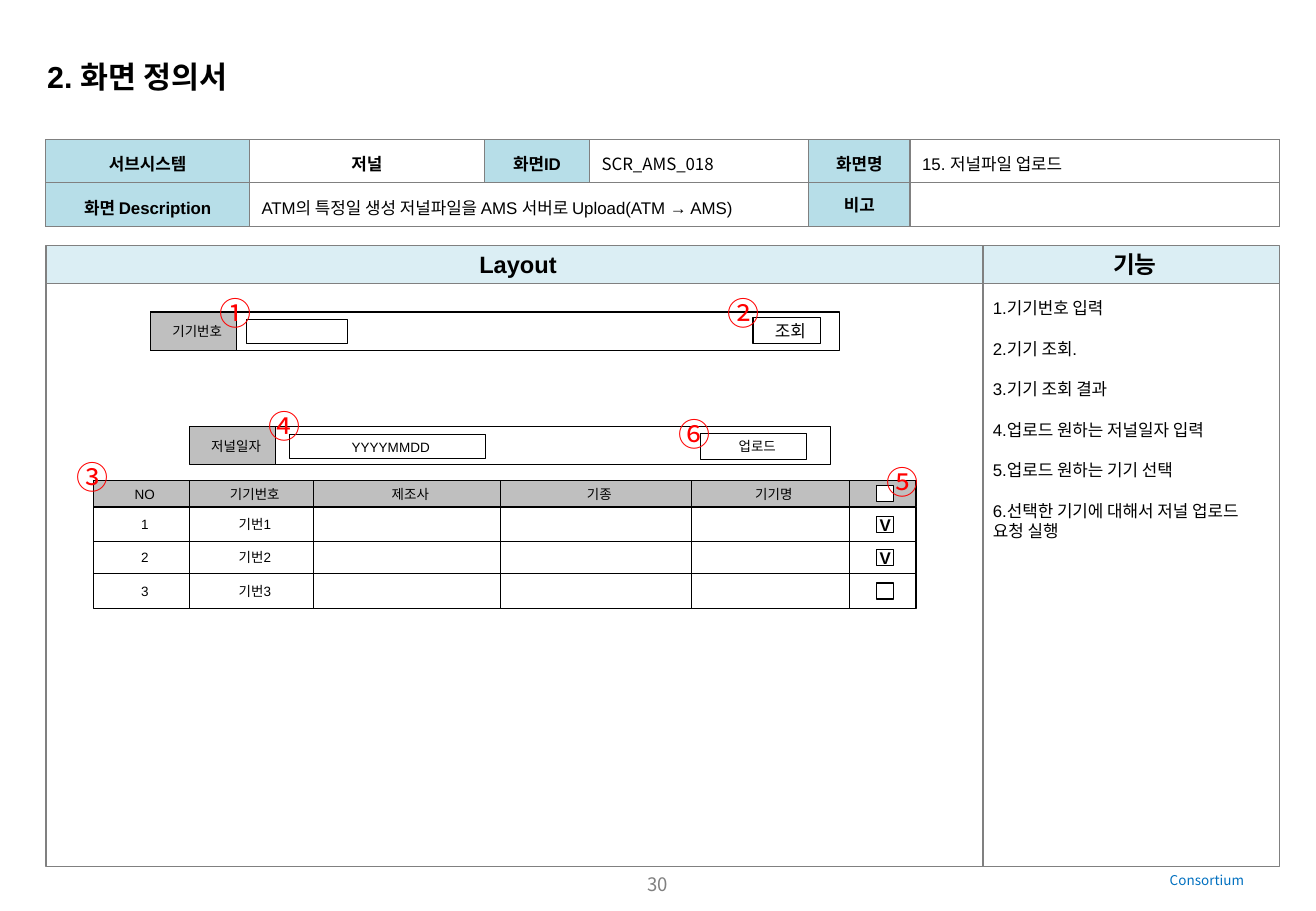
from lxml import etree
from pptx import Presentation
from pptx.dml.color import RGBColor
from pptx.enum.shapes import MSO_SHAPE
from pptx.enum.text import MSO_ANCHOR, PP_ALIGN
from pptx.oxml.ns import qn
from pptx.util import Pt

RECT = MSO_SHAPE.RECTANGLE
MIDDLE, TOP = MSO_ANCHOR.MIDDLE, MSO_ANCHOR.TOP
LEFT, CENTER = PP_ALIGN.LEFT, PP_ALIGN.CENTER
BLACK = RGBColor(0x00, 0x00, 0x00)
WHITE = RGBColor(0xFF, 0xFF, 0xFF)
GRAY = RGBColor(0x80, 0x80, 0x80)
SILVER = RGBColor(0xBF, 0xBF, 0xBF)
TEAL = RGBColor(0xB7, 0xDE, 0xE8)
PALE = RGBColor(0xDB, 0xEE, 0xF4)
RED = RGBColor(0xFF, 0x00, 0x00)
BLUE = RGBColor(0x00, 0x70, 0xC0)
ARIAL, NOTO = "Arial", "Noto Sans CJK KR"

prs = Presentation()
prs.slide_width, prs.slide_height = Pt(780), Pt(540)
s = prs.slides.add_slide(prs.slide_layouts[6])


def add_text(p, text, size, color=BLACK, bold=False, font=ARIAL, align=CENTER):
    p.alignment = align
    r = p.add_run()
    r.text = text
    r.font.size, r.font.bold, r.font.name = Pt(size), bold, font
    r.font.color.rgb = color


def add_box(x, y, w, h, fill=WHITE, text="", size=8, bold=False, line=BLACK, side=(7.2, 2.9)):
    """Add an outlined rectangle; side holds the left and right text insets."""
    sp = s.shapes.add_shape(RECT, Pt(x), Pt(y), Pt(w), Pt(h))
    sp.shadow.inherit = False
    sp.fill.solid()
    sp.fill.fore_color.rgb = fill
    sp.line.color.rgb = line
    sp.line.width = Pt(0.75)
    tf = sp.text_frame
    tf.word_wrap = True
    tf.vertical_anchor = MIDDLE
    tf.margin_left, tf.margin_right = Pt(side[0]), Pt(side[1])
    tf.margin_top = tf.margin_bottom = Pt(1.4)
    if text:
        add_text(tf.paragraphs[0], text, size, bold=bold)
    return sp


# Screen information table
info_rows = [
    ["서브시스템", "저널", "화면ID", "SCR_AMS_018", "화면명", "15. 저널파일 업로드"],
    ["화면 Description", "ATM의 특정일 생성 저널파일을 AMS 서버로 Upload(ATM → AMS)", "", "", "비고", ""],
]
left_aligned = {(0, 3), (0, 5), (1, 1)}
table = s.shapes.add_table(2, 6, Pt(27.2), Pt(82.8), Pt(731.2), Pt(51.2)).table
table.first_row = table.horz_banding = False
for col, width in zip(table.columns, (120.6, 139.3, 62.3, 130, 60, 219)):
    col.width = Pt(width)
for row in table.rows:
    row.height = Pt(25.6)
table.cell(1, 1).merge(table.cell(1, 3))

for i, texts in enumerate(info_rows):
    for j, text in enumerate(texts):
        cell = table.cell(i, j)
        tc_pr = cell._tc.get_or_add_tcPr()
        for edge in ("a:lnL", "a:lnR", "a:lnT", "a:lnB"):
            ln = etree.SubElement(tc_pr, qn(edge), w=str(Pt(0.75)))
            solid = etree.SubElement(ln, qn("a:solidFill"))
            etree.SubElement(solid, qn("a:srgbClr"), val=str(GRAY))
        cell.fill.solid()
        cell.fill.fore_color.rgb = TEAL if j in (0, 4) or (i, j) == (0, 2) else WHITE
        cell.vertical_anchor = MIDDLE
        cell.margin_left = cell.margin_right = Pt(7.2)
        cell.margin_top = cell.margin_bottom = Pt(3.6 if text else 0)
        if text:
            p = cell.text_frame.paragraphs[0]
            is_value = (i, j) in left_aligned
            add_text(p, text, 10, bold=not is_value, font=NOTO if (i, j) == (0, 3) else ARIAL,
                     align=LEFT if is_value else CENTER)
            if text != "비고":
                p.line_spacing = 1.2

# Layout and function panels
for x, width, heading in ((27.2, 555.5, "Layout"), (582.7, 175.7, "기능")):
    panel = add_box(x, 168, width, 345.6, line=GRAY, side=(5.8, 5.8))
    add_box(x, 145.4, width, 22.6, PALE, heading, 14, True, GRAY)

functions = ["1.기기번호 입력", "2.기기 조회.", "3.기기 조회 결과", "4.업로드 원하는 저널일자 입력",
             "5.업로드 원하는 기기 선택", "6.선택한 기기에 대해서 저널 업로드 요청 실행"]
tf = panel.text_frame
tf.vertical_anchor = TOP
tf.margin_top, tf.margin_bottom = Pt(8.6), Pt(5.8)
for i, function in enumerate(functions):
    p = tf.add_paragraph() if i else tf.paragraphs[0]
    p.space_after = Pt(12)
    add_text(p, function, 10, align=LEFT)

# Device search bar
add_box(89.3, 185, 408.2, 22.6)
add_box(89.3, 185, 51.1, 22.6, SILVER, "기기번호")
add_box(446.4, 188.2, 39.9, 15.4, text="조회", size=10)
add_box(146.2, 189.4, 59.8, 14.4)

# Journal upload bar
add_box(160.6, 252.9, 331.6, 22.6)
add_box(112.3, 252.9, 51.1, 22.6, SILVER, "저널일자")
add_box(171.4, 257.6, 116.3, 14.2, text="YYYYMMDD")
add_box(415.4, 256.9, 62.8, 15.4, text="업로드")

# Device list
col_edges = [55.4, 112.2, 185.8, 296.5, 409.8, 503.4, 543]
row_edges = [284.9, 300.5, 321, 340, 360.7]
device_rows = [
    ["NO", "기기번호", "제조사", "기종", "기기명", ""],
    ["1", "기번1", "", "", "", "V"],
    ["2", "기번2", "", "", "", "V"],
    ["3", "기번3", "", "", "", ""],
]
CHECK_W, CHECK_H = 10.2, 9.6
for i, texts in enumerate(device_rows):
    y, height = row_edges[i], row_edges[i + 1] - row_edges[i]
    for j, text in enumerate(texts):
        x, width = col_edges[j], col_edges[j + 1] - col_edges[j]
        is_check = j == 5
        add_box(x, y, width, height, WHITE if i else SILVER, "" if is_check else text)
        if is_check:
            add_box(519.6, y + (height - CHECK_H) / 2, CHECK_W, CHECK_H,
                    text=text, size=10, bold=True, side=(0, 0))

# Free text: title, callout numbers and footer
labels = [
    (20.9, 31, 154, 28.8, "2. 화면 정의서", 18, BLACK, True, ARIAL, LEFT),
    (285.1, 514.1, 209.5, 23, "30", 11, GRAY, False, NOTO, CENTER),
    (686.2, 513.4, 73.4, 17.3, "Consortium", 8, BLUE, False, NOTO, LEFT),
]
callouts = [("①", 123.1, 170.6), ("②", 424.1, 170.6), ("③", 38.2, 267.8),
            ("④", 151.9, 237.6), ("⑤", 518.4, 270.7), ("⑥", 395.3, 241.9)]
labels += [(x, y, 33.8, 30.2, mark, 19, RED, False, NOTO, LEFT) for mark, x, y in callouts]
for x, y, width, height, *style in labels:
    tf = s.shapes.add_textbox(Pt(x), Pt(y), Pt(width), Pt(height)).text_frame
    tf.word_wrap = True
    add_text(tf.paragraphs[0], *style)

prs.save("out.pptx")
